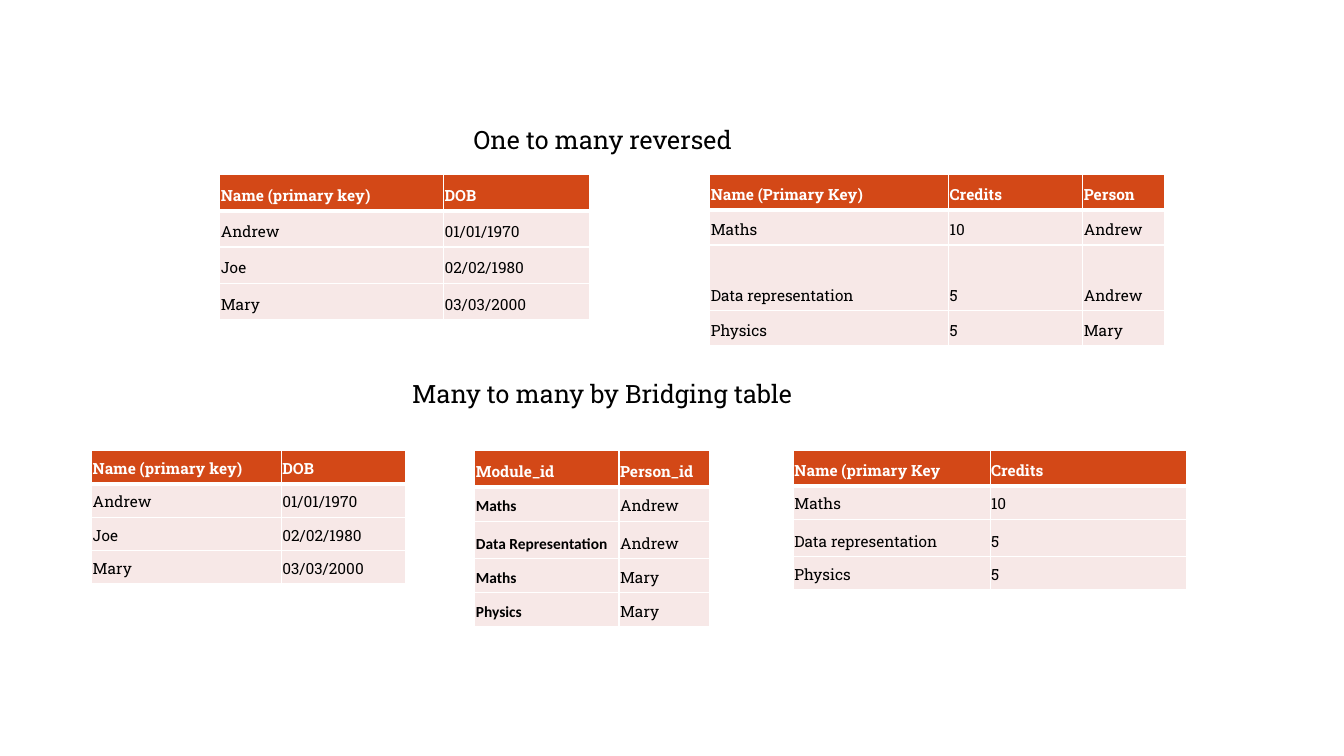
from lxml.etree import SubElement
from pptx import Presentation
from pptx.dml.color import RGBColor as RGB
from pptx.enum.text import MSO_ANCHOR as Anchor
from pptx.oxml.ns import qn
from pptx.util import Inches, Pt

COLORS = {"header": "D34817", "body": "F7E8E7", "light": "FFFFFF", "dark": "000000"}
SLAB, KEY_FONT = "Roboto Slab", "Calibri"
THIN, THICK = 0.96, 3
UPPER, LOWER = 1.73, 4.47  # tops of the two bands of tables

PEOPLE = [
    ("Name (primary key)", "DOB"),
    ("Andrew", "01/01/1970"),
    ("Joe", "02/02/1980"),
    ("Mary", "03/03/2000"),
]
MODULES_WITH_PERSON = [
    ("Name (Primary Key)", "Credits", "Person"),
    ("Maths", "10", "Andrew"),
    ("Data representation", "5", "Andrew"),
    ("Physics", "5", "Mary"),
]
BRIDGE = [
    ("Module_id", "Person_id"),
    ("Maths", "Andrew"),
    ("Data Representation", "Andrew"),
    ("Maths", "Mary"),
    ("Physics", "Mary"),
]
MODULES = [
    ("Name (primary Key", "Credits"),
    ("Maths", "10"),
    ("Data representation", "5"),
    ("Physics", "5"),
]

# left, top, column widths, row heights, entries
TABLES = [
    (2.18, UPPER, [2.22, 1.45], [0.36] * 4, PEOPLE),
    (7.04, UPPER, [2.37, 1.33, 0.81], [0.35, 0.35, 0.65, 0.35], MODULES_WITH_PERSON),
    (0.91, LOWER, [1.88, 1.23], [0.33] * 4, PEOPLE),
    (4.71, LOWER, [1.43, 0.9], [0.36, 0.34, 0.37, 0.34, 0.34], BRIDGE),
    (7.87, LOWER, [1.95, 1.95], [0.35, 0.33, 0.37, 0.33], MODULES),
]
HEADINGS = [
    ("One to many reversed", 4.6, 1.18, 3, 0.4),
    ("Many to many by Bridging table", 3.99, 3.7, 4.21, 0.7),
]


def style_text(frame, size, color, font=SLAB, bold=False):
    run_font = frame.paragraphs[0].runs[0].font
    run_font.name, run_font.size, run_font.bold = font, Pt(size), bold
    run_font.color.rgb = RGB.from_string(COLORS[color])


def add_borders(cell, top, bottom):
    """Draw white cell edges; top and bottom are widths in points."""
    properties = cell._tc.get_or_add_tcPr()
    for side, width in (("L", THIN), ("R", THIN), ("T", top), ("B", bottom)):
        edge = SubElement(properties, qn(f"a:ln{side}"), w=str(Pt(width)))
        paint = SubElement(edge, qn("a:solidFill"))
        SubElement(paint, qn("a:srgbClr"), val=COLORS["light"])


deck = Presentation()
deck.slide_width, deck.slide_height = Inches(13.33), Inches(7.5)
slide = deck.slides.add_slide(deck.slide_layouts[6])

for heading, *box in HEADINGS:
    frame = slide.shapes.add_textbox(*map(Inches, box)).text_frame
    frame.word_wrap = True
    frame.text = heading
    style_text(frame, 18, "dark")

for left, top, widths, heights, entries in TABLES:
    table = slide.shapes.add_table(
        len(heights), len(widths), Inches(left), Inches(top),
        Inches(sum(widths)), Inches(sum(heights)),
    ).table
    for column, width in zip(table.columns, widths):
        column.width = Inches(width)
    for row, height in zip(table.rows, heights):
        row.height = Inches(height)

    for r, record in enumerate(entries):
        is_header = r == 0
        for c, entry in enumerate(record):
            cell = table.cell(r, c)
            is_bridge_key = entries is BRIDGE and c == 0 and not is_header
            cell.text_frame.text = entry
            style_text(
                cell.text_frame, 11, "light" if is_header else "dark",
                KEY_FONT if is_bridge_key else SLAB, is_header or is_bridge_key,
            )
            cell.vertical_anchor = Anchor.BOTTOM
            cell.margin_left = cell.margin_right = Inches(0.01)
            add_borders(cell, THICK if r == 1 else THIN, THICK if is_header else THIN)
            cell.fill.solid()
            cell.fill.fore_color.rgb = RGB.from_string(
                COLORS["header" if is_header else "body"])

deck.save("out.pptx")
